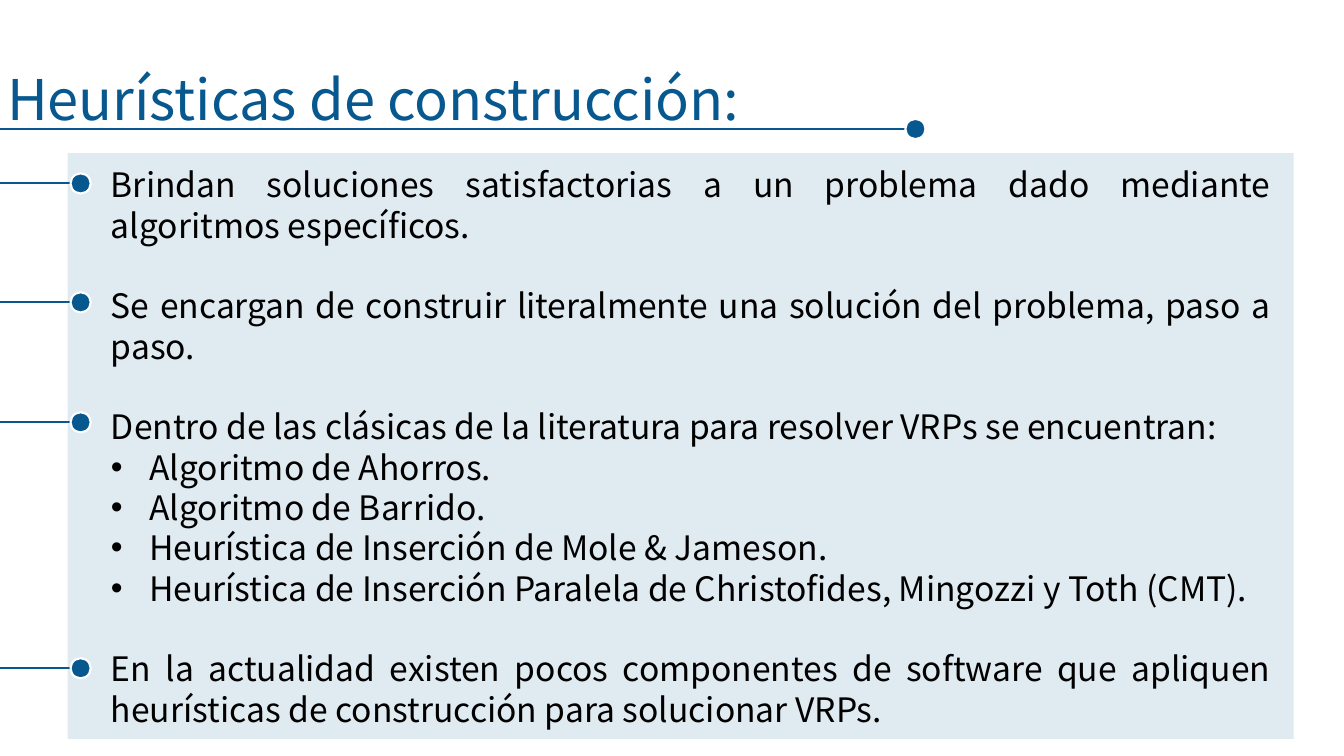
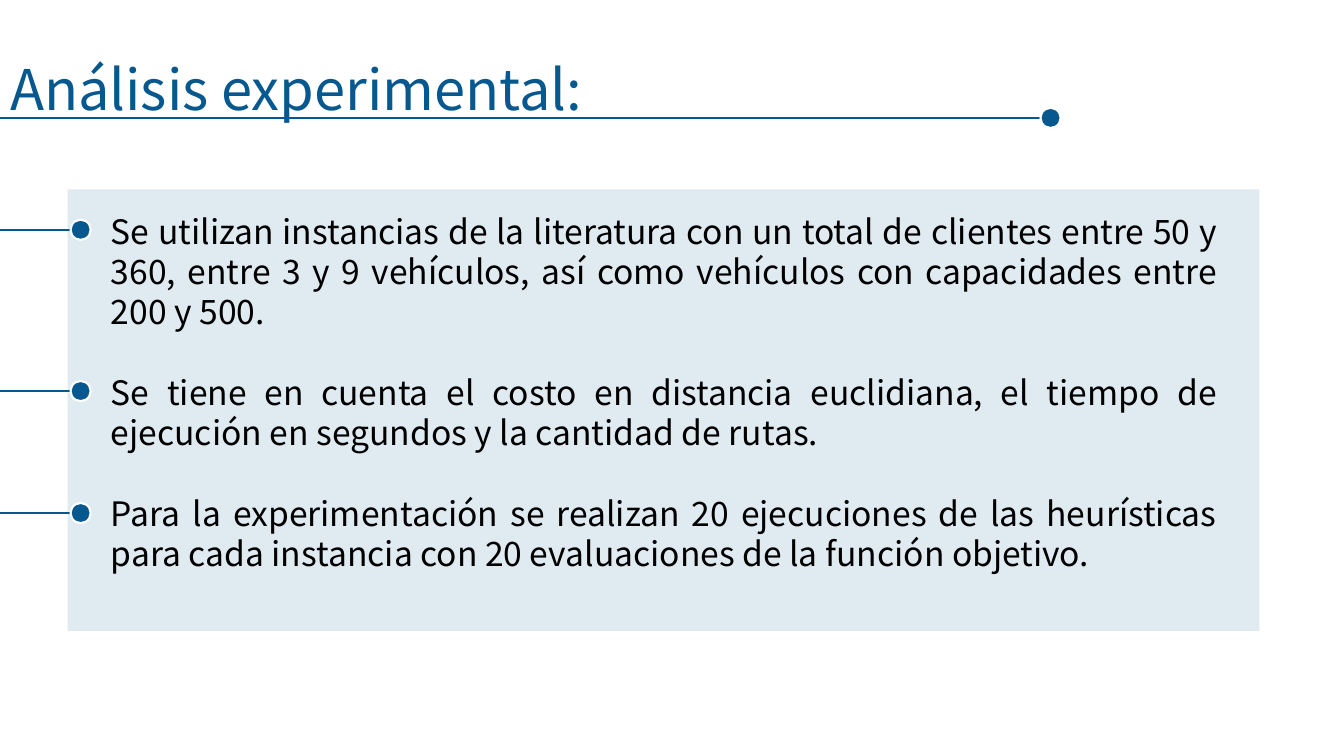
"""Builds two slides on construction heuristics and their experiments."""
from lxml import etree
from pptx import Presentation
from pptx import util as u
from pptx.dml import color
from pptx.enum import shapes, text
from pptx.oxml import ns

BLUE, WHITE, BLACK = "07588F", "FFFFFF", "000000"
FONT = "Noto Sans CJK JP"
GAP = 28.8
DOT = 0.2
DOT_X = 0.8
BAND_X = 0.67
TEXT_X = 1
HANG = 0.38

SLIDES = [
    dict(
        title="Heurísticas de construcción:", head=(-0.03, 0.59, 9, 0.77), rule=(9.08, 1.28),
        band=(BAND_X, 1.52, 12.16, 5.81), body=(TEXT_X, 1.58, 11.7, 5.8),
        marks=(1.82, 3, 4.19, 6.63),
        items=[
            ("Brindan soluciones satisfactorias a un problema dado mediante algoritmos específicos.", []),
            ("Se encargan de construir literalmente una solución del problema, paso a paso.", []),
            ("Dentro de las clásicas de la literatura para resolver VRPs se encuentran:", [
                "Algoritmo de Ahorros.",
                "Algoritmo de Barrido.",
                "Heurística de Inserción de Mole & Jameson.",
                "Heurística de Inserción Paralela de Christofides, Mingozzi y Toth (CMT).",
            ]),
            ("En la actualidad existen pocos componentes de software que apliquen "
             "heurísticas de construcción para solucionar VRPs.", []),
        ],
    ),
    dict(
        title="Análisis experimental:", head=(0, 0.49, 9, 0.77), rule=(10.42, 1.17),
        band=(BAND_X, 1.88, 11.82, 4.38), body=(TEXT_X, 2.04, 11.17, 3.74),
        marks=(2.28, 3.88, 5.09),
        items=[
            ("Se utilizan instancias de la literatura con un total de clientes entre 50 y 360, "
             "entre 3 y 9 vehículos, así como vehículos con capacidades entre 200 y 500.", []),
            ("Se tiene en cuenta el costo en distancia euclidiana, el tiempo de ejecución "
             "en segundos y la cantidad de rutas.", []),
            ("Para la experimentación se realizan 20 ejecuciones de las heurísticas para cada "
             "instancia con 20 evaluaciones de la función objetivo.", []),
        ],
    ),
]


def paint(form, tone):
    """Gives a fill or font colour object the colour of a hex string."""
    form.rgb = color.RGBColor.from_string(tone)


def fill(shape, tone):
    """Fills a shape with a solid colour and takes its shadow off."""
    shape.shadow.inherit = False
    shape.fill.solid()
    paint(shape.fill.fore_color, tone)


def edge(shape, tone):
    """Draws the outline of a shape or connector."""
    shape.line.width = u.Pt(1.5)
    paint(shape.line.color, tone)


def place(holder, box):
    """Moves a placeholder to a box and returns its text frame."""
    holder.left, holder.top, holder.width, holder.height = map(u.Inches, box)
    frame = holder.text_frame
    frame.word_wrap = True
    frame.auto_size = text.MSO_AUTO_SIZE.NONE
    frame.vertical_anchor = text.MSO_ANCHOR.TOP
    return frame


def write(para, words, size=24, tone=BLACK, align=text.PP_ALIGN.JUSTIFY, before=0, mark=None):
    """Writes one formatted paragraph, with a bullet when a mark is given."""
    props = para._p.get_or_add_pPr()
    hang = u.Inches(HANG) if mark else 0
    props.set("marL", str(hang))
    props.set("indent", str(-hang))
    if mark:
        etree.SubElement(props, ns.qn("a:buFont")).set("typeface", "Arial")
        etree.SubElement(props, ns.qn("a:buChar")).set("char", mark)
    else:
        etree.SubElement(props, ns.qn("a:buNone"))
    para.alignment = align
    para.space_before = u.Pt(before)
    run = para.add_run()
    run.text = words
    run.font.name, run.font.size = FONT, u.Pt(size)
    paint(run.font.color, tone)


def pin(slide, x, y):
    """Draws a line from the left edge of the slide to a dot centred at x, y."""
    group = slide.shapes.add_group_shape()
    line = group.shapes.add_connector(
        shapes.MSO_CONNECTOR.STRAIGHT, 0, u.Inches(y), u.Inches(x), u.Inches(y))
    edge(line, BLUE)
    etree.SubElement(line._element.spPr, ns.qn("a:effectLst"))
    dot = group.shapes.add_shape(
        shapes.MSO_SHAPE.OVAL, u.Inches(x - DOT / 2), u.Inches(y - DOT / 2),
        u.Inches(DOT), u.Inches(DOT))
    fill(dot, BLUE)
    edge(dot, WHITE)


def panel(slide, box):
    """Places the pale band behind everything else."""
    band = slide.shapes.add_shape(shapes.MSO_SHAPE.RECTANGLE, *map(u.Inches, box))
    fill(band, BLUE)
    tint = band._element.spPr.find(".//" + ns.qn("a:srgbClr"))
    etree.SubElement(tint, ns.qn("a:alpha")).set("val", "12000")
    band.line.fill.background()
    slide.shapes._spTree.insert(2, band._element)


def header(slide, title, box, rule):
    """Writes the title and draws the rule under it."""
    frame = place(slide.shapes.title, box)
    write(frame.paragraphs[0], title, size=40, tone=BLUE, align=text.PP_ALIGN.LEFT)
    pin(slide, *rule)


def listing(slide, items, box):
    """Fills the body with points and their bulleted parts."""
    frame = place(slide.placeholders[1], box)
    for i, (point, parts) in enumerate(items):
        para = frame.add_paragraph() if i else frame.paragraphs[0]
        write(para, point, before=GAP if i else 0)
        for part in parts:
            write(frame.add_paragraph(), part, mark="•")


def build(deck, data):
    """Adds one slide of points."""
    slide = deck.slides.add_slide(deck.slide_layouts[1])
    panel(slide, data["band"])
    header(slide, data["title"], data["head"], data["rule"])
    listing(slide, data["items"], data["body"])
    for y in data["marks"]:
        pin(slide, DOT_X, y)


def main():
    """Builds and saves the deck."""
    deck = Presentation()
    deck.slide_width, deck.slide_height = u.Inches(13.33), u.Inches(7.5)
    for data in SLIDES:
        build(deck, data)
    deck.save("out.pptx")


if __name__ == "__main__":
    main()
